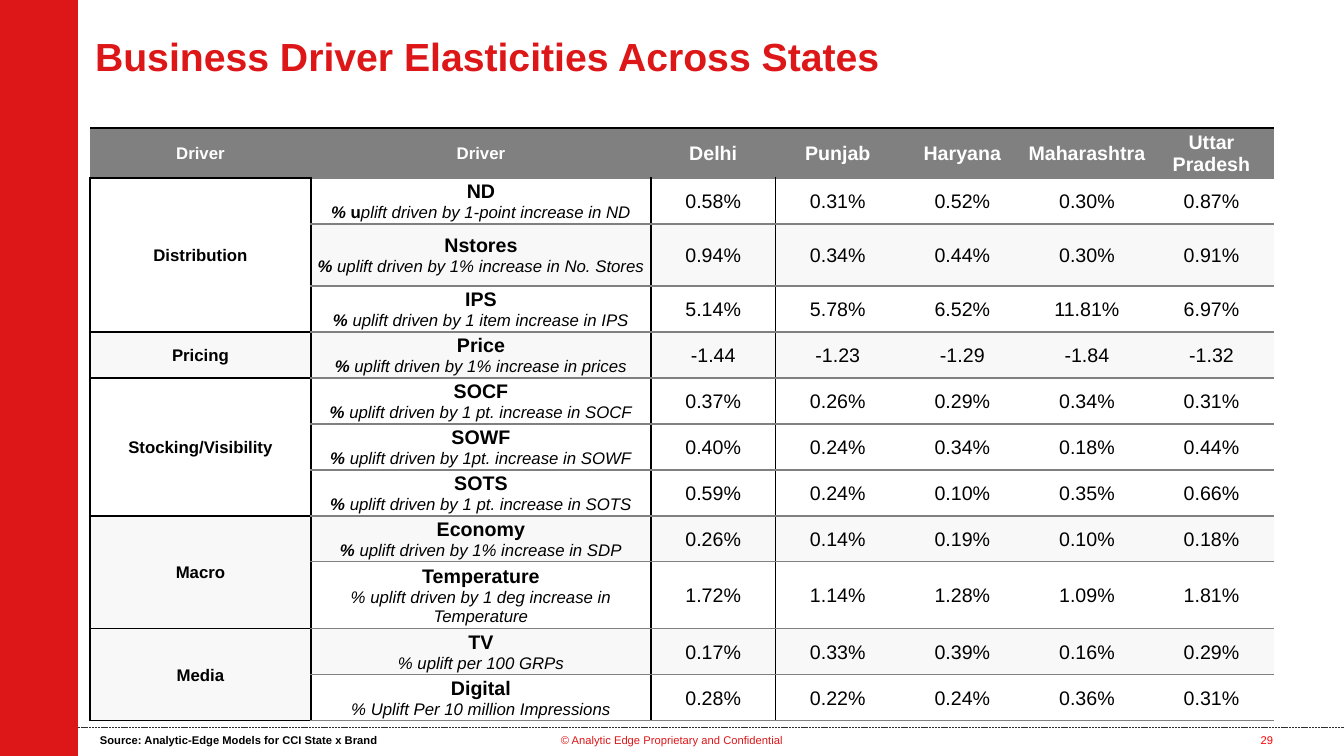
from itertools import accumulate

from lxml.etree import SubElement
from pptx import Presentation
from pptx.dml.color import RGBColor as Rgb
from pptx.enum.dml import MSO_LINE as Dash
from pptx.enum.shapes import MSO_CONNECTOR as Connector, MSO_SHAPE as Shape
from pptx.enum.text import MSO_ANCHOR as Anchor, PP_ALIGN as Align
from pptx.oxml.ns import qn
from pptx.util import Pt

WIDTH, HEIGHT = 1344, 756
SCALE = 12192000 / WIDTH
COLORS = {"red": "DD1618", "number": "FF0000", "rule": "2E2E30", "gray": "808080",
          "black": "000000", "white": "FFFFFF", "shade": "F8F8F8"}
STYLES = {
    "title": {"size": 28, "bold": True, "color": "red"},
    "footer": {"size": 8, "bold": False, "color": "red"},
    "number": {"size": 8, "bold": False, "color": "number"},
    "source": {"size": 8, "bold": True, "color": "black"},
    "driver head": {"size": 12, "bold": True, "color": "white"},
    "state head": {"size": 14, "bold": True, "color": "white"},
    "category": {"size": 12, "bold": True, "color": "black"},
    "name": {"size": 14, "bold": True, "color": "black"},
    "lead": {"size": 12, "bold": True, "italic": True, "color": "black"},
    "upright": {"size": 12, "bold": True, "color": "black"},
    "note": {"size": 12, "bold": False, "italic": True, "color": "black"},
    "value": {"size": 14, "bold": False, "color": "black"},
}
NO_GRID_STYLE = "{2D5ABB26-0587-4C30-8999-92F81FD0307C}"
STATES = ["Delhi", "Punjab", "Haryana", "Maharashtra", "Uttar Pradesh"]
SHADED_ROWS = {2, 4, 8, 10}
COLUMN_WIDTHS = [221, 340] + [623 / 5] * 5
ROW_HEIGHTS = [50, 46, 62] + [46] * 6 + [67, 46, 46]


def led(text):
    """Return note runs that open with an emphasised percent sign."""
    return [("% ", "lead"), (text, "note")]


GROUPS = [
    ("Distribution", [
        ("ND", [("%", "lead"), (" u", "upright"),
                ("plift driven by 1-point increase in ND", "note")],
         "0.58% 0.31% 0.52% 0.30% 0.87%"),
        ("Nstores", led("uplift driven by 1% increase in No. Stores"),
         "0.94% 0.34% 0.44% 0.30% 0.91%"),
        ("IPS", led("uplift driven by 1 item increase in IPS"),
         "5.14% 5.78% 6.52% 11.81% 6.97%")]),
    ("Pricing", [
        ("Price", led("uplift driven by 1% increase in prices"),
         "-1.44 -1.23 -1.29 -1.84 -1.32")]),
    ("Stocking/Visibility", [
        ("SOCF", led("uplift driven by 1 pt. increase in SOCF"),
         "0.37% 0.26% 0.29% 0.34% 0.31%"),
        ("SOWF", led("uplift driven by 1pt. increase in SOWF"),
         "0.40% 0.24% 0.34% 0.18% 0.44%"),
        ("SOTS", led("uplift driven by 1 pt. increase in SOTS"),
         "0.59% 0.24% 0.10% 0.35% 0.66%")]),
    ("Macro", [
        ("Economy", led("uplift driven by 1% increase in SDP"),
         "0.26% 0.14% 0.19% 0.10% 0.18%"),
        ("Temperature", [("% uplift driven by 1 deg increase in Temperature", "note")],
         "1.72% 1.14% 1.28% 1.09% 1.81%")]),
    ("Media", [
        ("TV", [("% uplift per 100 GRPs", "note")],
         "0.17% 0.33% 0.39% 0.16% 0.29%"),
        ("Digital", [("% Uplift Per 10 million Impressions", "note")],
         "0.28% 0.22% 0.24% 0.36% 0.31%")]),
]


def px(*lengths):
    """Turn pixel lengths into a list of EMU lengths."""
    return [round(length * SCALE) for length in lengths]


def color(name):
    """Look up a named colour."""
    return Rgb.from_string(COLORS[name])


def add_runs(paragraph, runs, align):
    """Fill a paragraph with (text, style name) runs."""
    paragraph.alignment = align
    for text, style in runs:
        run = paragraph.add_run()
        run.text = text
        run.font.name = "Arial"
        for key, value in STYLES[style].items():
            if key == "color":
                run.font.color.rgb = color(value)
            else:
                setattr(run.font, key, Pt(value) if key == "size" else value)


def add_label(slide, box, text, style, align, wrap=True):
    """Add a text box with one styled line."""
    frame = slide.shapes.add_textbox(*px(*box)).text_frame
    frame.word_wrap = wrap
    add_runs(frame.paragraphs[0], [(text, style)], align)


def set_borders(cell, borders):
    """Draw the given sides of a cell, named L, R, T and B."""
    properties = cell._tc.get_or_add_tcPr()
    sides = [side for side in "LRTB" if side in borders]
    for position, side in enumerate(sides):
        line = SubElement(properties, qn(f"a:ln{side}"), w=str(Pt(1)))
        fill = SubElement(line, qn("a:solidFill"))
        SubElement(fill, qn("a:srgbClr"), val=COLORS[borders[side]])
        properties.insert(position, line)


def fill_cell(cell, lines, fill, borders):
    """Write centred lines into a cell and set its fill and borders."""
    margins = dict(zip(("left", "top", "right", "bottom"), px(1, 1, 1, 0)))
    for side, margin in margins.items():
        setattr(cell, f"margin_{side}", margin)
    cell.vertical_anchor = Anchor.MIDDLE
    frame = cell.text_frame
    for index, runs in enumerate(lines):
        paragraph = frame.add_paragraph() if index else frame.paragraphs[0]
        add_runs(paragraph, runs, Align.CENTER)
    cell.fill.solid()
    cell.fill.fore_color.rgb = color(fill)
    set_borders(cell, borders)


def add_driver_row(table, row, driver, fill):
    """Fill the driver cell and the state values of one row."""
    name, note, values = driver
    rules = {"T": "gray", "B": "gray"}
    fill_cell(table.cell(row, 1), [[(name, "name")], note], fill,
              {"L": "black", "R": "black", **rules})
    for column, value in enumerate(values.split(), 2):
        left = {"L": "black"} if column == 2 else {}
        fill_cell(table.cell(row, column), [[(value, "value")]], fill, {**left, **rules})


def add_elasticity_table(slide):
    """Add the table of drivers by state."""
    size = px(sum(COLUMN_WIDTHS), sum(ROW_HEIGHTS))
    table = slide.shapes.add_table(
        len(ROW_HEIGHTS), len(COLUMN_WIDTHS), *px(90, 128), *size).table
    table.first_row = table.horz_banding = False
    table._tbl.tblPr.find(qn("a:tableStyleId")).text = NO_GRID_STYLE
    for column, width in zip(table.columns, px(*COLUMN_WIDTHS)):
        column.width = width
    for row, height in zip(table.rows, px(*ROW_HEIGHTS)):
        row.height = height

    for column, text in enumerate(["Driver", "Driver"] + STATES):
        style = "state head" if column > 1 else "driver head"
        fill_cell(table.cell(0, column), [[(text, style)]], "gray",
                  {"T": "black", "B": "gray" if column else "black"})

    starts = accumulate((len(drivers) for _, drivers in GROUPS), initial=1)
    for first, (category, drivers) in zip(starts, GROUPS):
        for row, driver in enumerate(drivers, first):
            fill = "shade" if row in SHADED_ROWS else "white"
            add_driver_row(table, row, driver, fill)
            set_borders(table.cell(row, 0), {} if row == first else dict.fromkeys("LR", "black"))
        category_cell = table.cell(first, 0)
        if len(drivers) > 1:
            category_cell.merge(table.cell(first + len(drivers) - 1, 0))
        fill_cell(category_cell, [[(category, "category")]],
                  "shade" if first in SHADED_ROWS else "white",
                  dict.fromkeys("LRTB", "black"))


def add_frame(slide):
    """Add the dashed footer rule and the red side band."""
    rule = slide.shapes.add_connector(Connector.STRAIGHT, *px(72, 727, WIDTH, 727))
    rule.line.color.rgb = color("rule")
    rule.line.width = Pt(0.5)
    rule.line.dash_style = Dash.SQUARE_DOT
    SubElement(rule._element.spPr, qn("a:effectLst"))
    band = slide.shapes.add_shape(Shape.RECTANGLE, *px(0, 0, 78, HEIGHT))
    band.shadow.inherit = False
    band.fill.solid()
    band.fill.fore_color.rgb = color("red")
    band.line.fill.background()


def set_title(slide, text):
    """Place and format the slide title."""
    title = slide.shapes.title
    title.left, title.top, title.width, title.height = px(85, 12, 1033, 87)
    title.text_frame.vertical_anchor = Anchor.MIDDLE
    add_runs(title.text_frame.paragraphs[0], [(text, "title")], Align.LEFT)


def main():
    """Build and save the slide."""
    presentation = Presentation()
    presentation.slide_width, presentation.slide_height = px(WIDTH, HEIGHT)
    slide = presentation.slides.add_slide(presentation.slide_layouts[5])
    add_frame(slide)
    set_title(slide, "Business Driver Elasticities Across States")
    add_label(slide, (531, 728, 282, 40), "© Analytic Edge Proprietary and Confidential",
              "footer", Align.CENTER)
    add_label(slide, (1236, 728, 62, 40), "29", "number", Align.CENTER)
    add_elasticity_table(slide)
    add_label(slide, (90, 728, 300, 24), "Source: Analytic-Edge Models for CCI State x Brand",
              "source", Align.LEFT, wrap=False)
    presentation.save("out.pptx")


if __name__ == "__main__":
    main()
